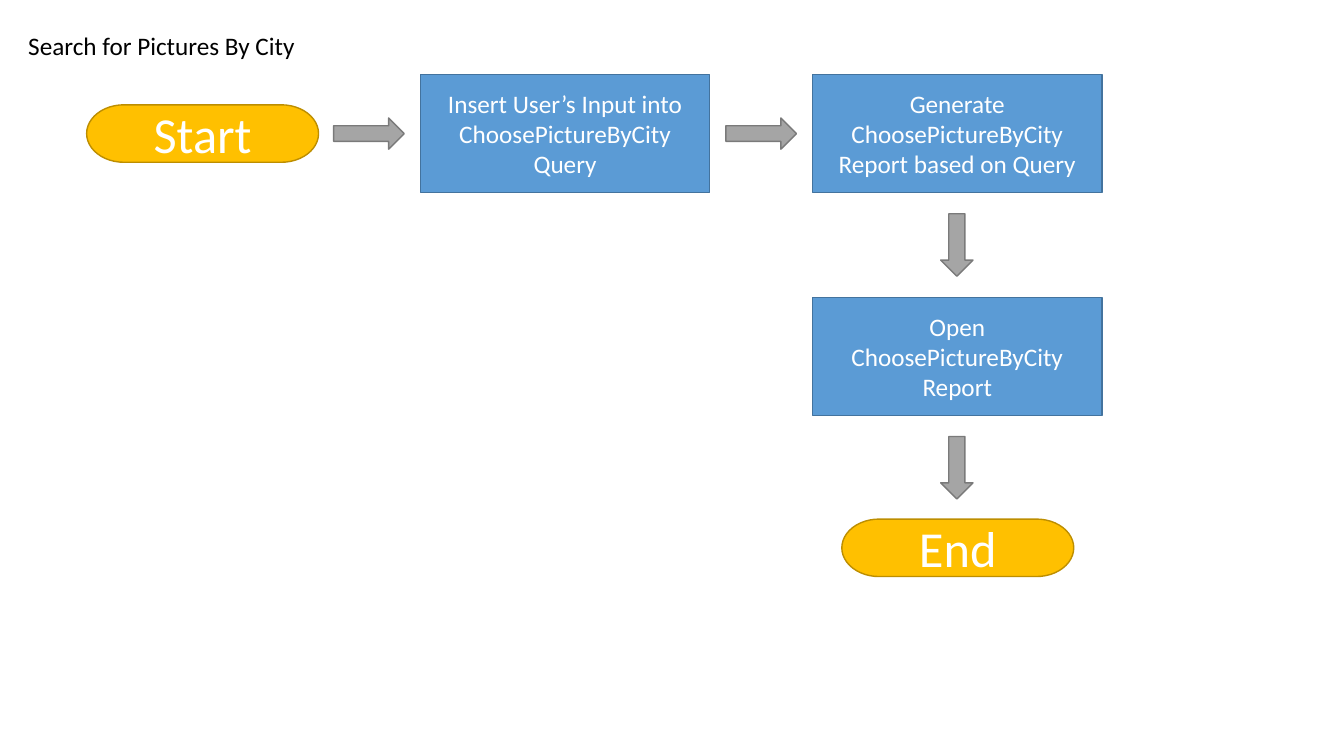
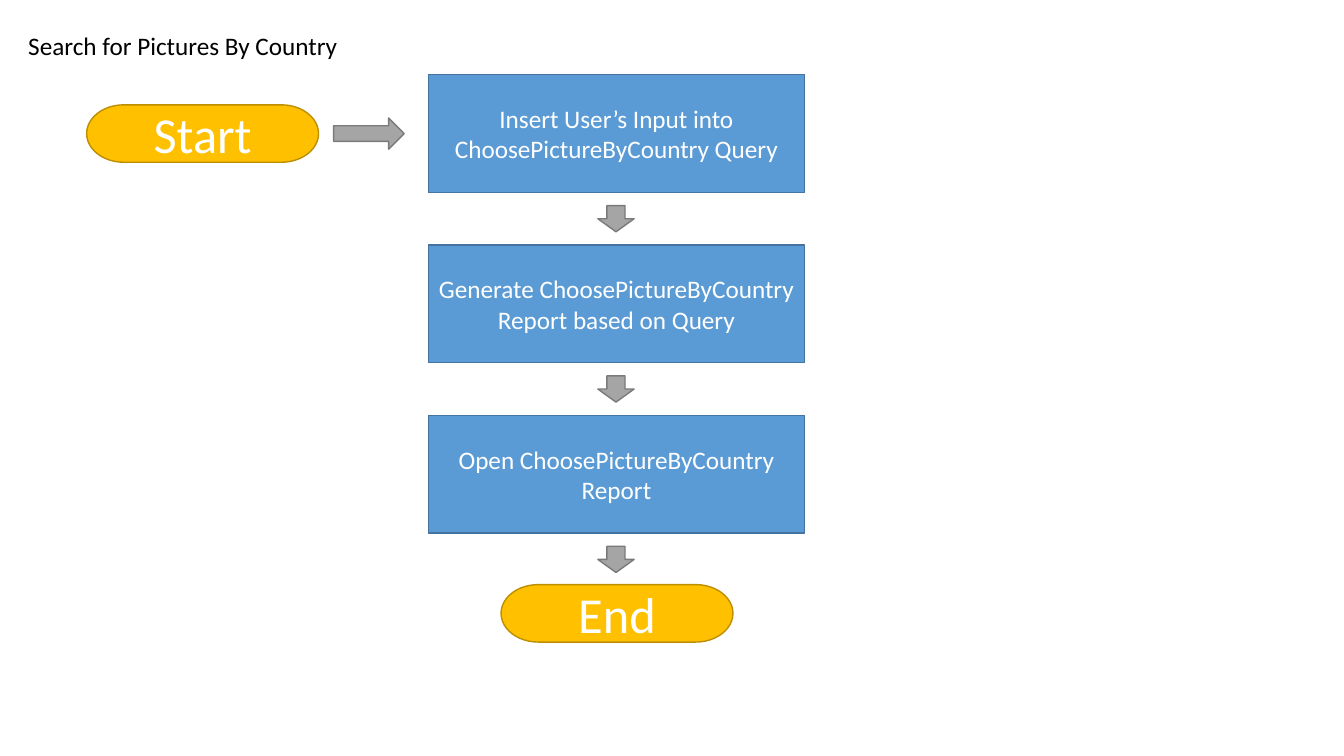
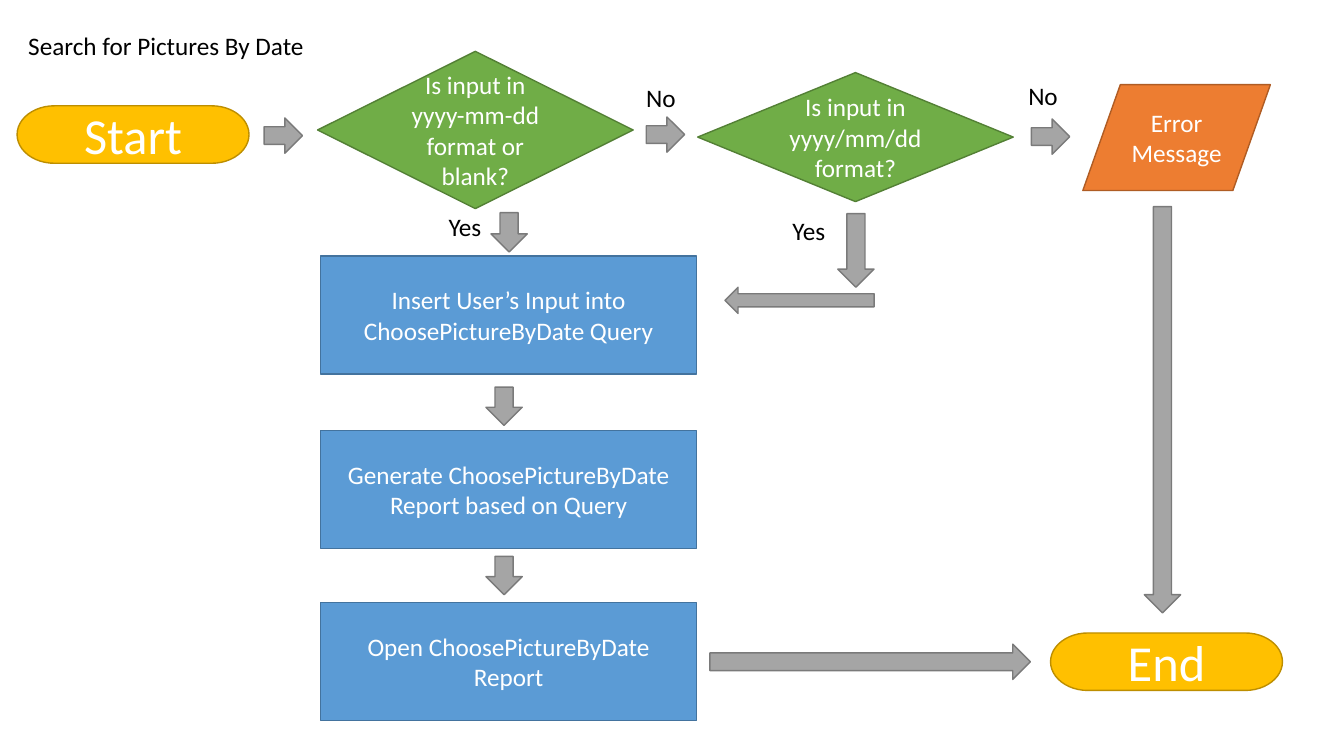
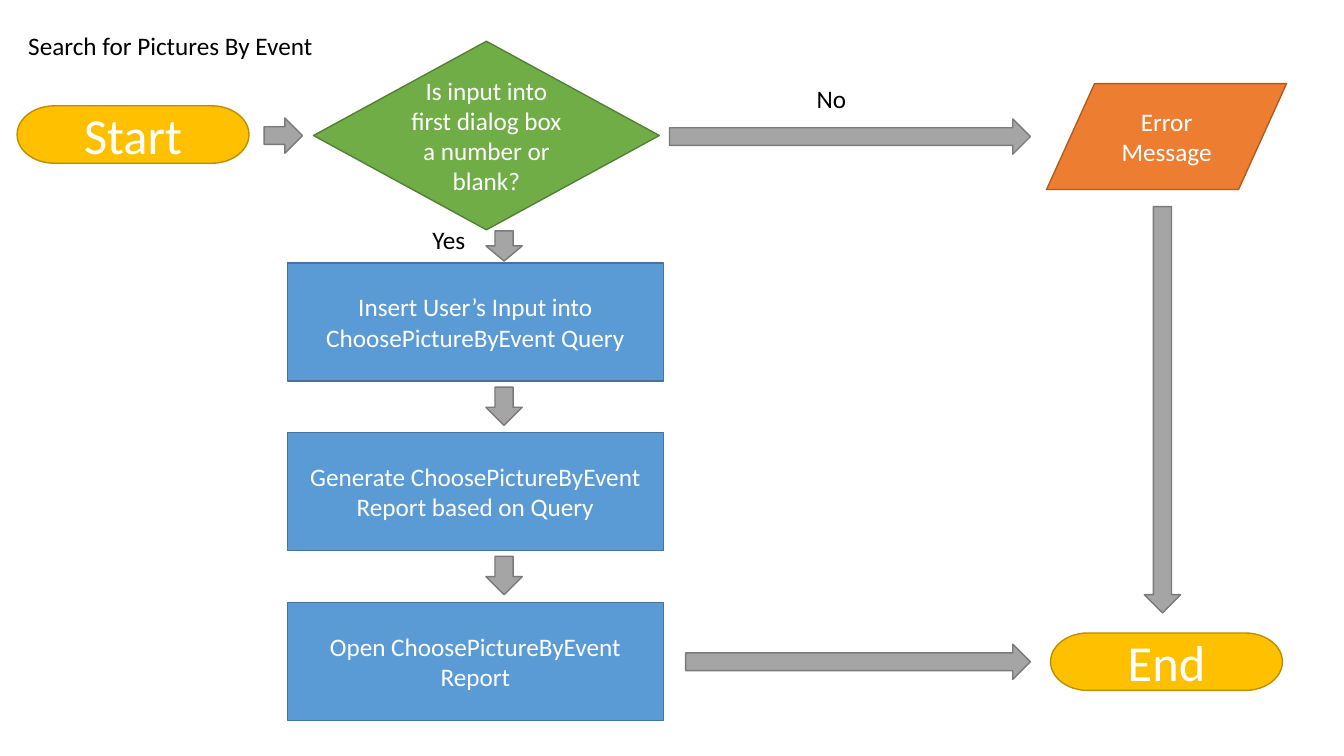
from pptx import Presentation
from pptx.dml.color import RGBColor
from pptx.enum.shapes import MSO_SHAPE
from pptx.enum.text import MSO_ANCHOR, MSO_AUTO_SIZE, PP_ALIGN
from pptx.util import Pt

PX = 9144  # EMU: 100 px to the inch
FONT = "Calibri"
SMALL, LARGE = 18, 36

WHITE = RGBColor(0xFF, 0xFF, 0xFF)
BLACK = RGBColor(0x00, 0x00, 0x00)
GOLD, GOLD_EDGE = RGBColor(0xFF, 0xC0, 0x00), RGBColor(0xBD, 0x8E, 0x00)
BLUE, BLUE_EDGE = RGBColor(0x5B, 0x9B, 0xD5), RGBColor(0x43, 0x73, 0x9E)
GREEN, GREEN_EDGE = RGBColor(0x70, 0xAD, 0x47), RGBColor(0x53, 0x80, 0x35)
RUST, RUST_EDGE = RGBColor(0xED, 0x7D, 0x31), RGBColor(0xAF, 0x5C, 0x24)
GREY, GREY_EDGE = RGBColor(0xA5, 0xA5, 0xA5), RGBColor(0x7A, 0x7A, 0x7A)

# kind: preset, fill, line
LOOKS = {
    "cap": (MSO_SHAPE.FLOWCHART_TERMINATOR, GOLD, GOLD_EDGE),
    "step": (MSO_SHAPE.RECTANGLE, BLUE, BLUE_EDGE),
    "test": (MSO_SHAPE.FLOWCHART_DECISION, GREEN, GREEN_EDGE),
    "error": (MSO_SHAPE.FLOWCHART_DATA, RUST, RUST_EDGE),
    "right": (MSO_SHAPE.RIGHT_ARROW, GREY, GREY_EDGE),
    "left": (MSO_SHAPE.LEFT_ARROW, GREY, GREY_EDGE),
    "down": (MSO_SHAPE.DOWN_ARROW, GREY, GREY_EDGE),
}
LEFT, CENTER = PP_ALIGN.LEFT, PP_ALIGN.CENTER
TOP, MIDDLE = MSO_ANCHOR.TOP, MSO_ANCHOR.MIDDLE
NO_FIT = MSO_AUTO_SIZE.NONE

CAP_W, CAP_H = 230, 57
STEP_H = 117
WIDE = 373
STEPS = (
    "Insert User’s Input into ChoosePictureBy{} Query",
    "Generate ChoosePictureBy{} Report based on Query",
    "Open ChoosePictureBy{} Report",
)


def scale(*sizes):
    return [size * PX for size in sizes]


def write(shape, text, size=SMALL, color=WHITE, align=CENTER, anchor=MIDDLE):
    frame = shape.text_frame
    frame.text = text
    frame.word_wrap = True
    frame.auto_size = NO_FIT
    frame.vertical_anchor = anchor
    para = frame.paragraphs[0]
    para.alignment = align
    font = para.runs[0].font
    font.name, font.size = FONT, Pt(size)
    font.color.rgb = color


def draw(slide, kind, x, y, w, h, text="", size=SMALL):
    """Add one flowchart part in the look of its kind."""
    preset, fill, edge = LOOKS[kind]
    shape = slide.shapes.add_shape(preset, *scale(x, y, w, h))
    shape.shadow.inherit = False
    shape.fill.solid()
    shape.fill.fore_color.rgb = fill
    shape.line.color.rgb = edge
    shape.line.width = Pt(1)
    if text:
        write(shape, text, size)


def label(slide, text, x, y):
    box = slide.shapes.add_textbox(*scale(x, y, 65, 40))
    write(box, text, color=BLACK, align=LEFT, anchor=TOP)


def cap(slide, text, x, y):
    draw(slide, "cap", x, y, CAP_W, CAP_H, text, LARGE)


def steps(slide, topic, width, spots):
    for text, (x, y) in zip(STEPS, spots):
        draw(slide, "step", x, y, width, STEP_H, text.format(topic))


def begin(deck, topic):
    """Add a slide with its title."""
    slide = deck.slides.add_slide(deck.slide_layouts[5])
    title = slide.shapes.title
    title.left, title.top, title.width, title.height = scale(18, 25, 686, 40)
    write(title, f"Search for Pictures By {topic}", color=BLACK,
          align=LEFT, anchor=TOP)
    return slide


def city(deck):
    slide = begin(deck, "City")
    cap(slide, "Start", 86, 104)
    steps(slide, "City", 287, [(417, 74), (806, 74), (806, 295)])
    for x in (331, 720):
        draw(slide, "right", x, 117, 70, 31)
    for y in (212, 433):
        draw(slide, "down", 933, y, 32, 62)
    cap(slide, "End", 835, 515)


def country(deck):
    slide = begin(deck, "Country")
    cap(slide, "Start", 86, 104)
    draw(slide, "right", 331, 117, 70, 31)
    tops = [74 + 169 * row for row in range(3)]
    steps(slide, "Country", WIDE, [(425, y) for y in tops])
    for y in tops:
        draw(slide, "down", 593, y + STEP_H + 13, 36, 26)
    cap(slide, "End", 497, 580)


def checked(deck, topic, x, tops, gap):
    """Start a slide whose input is tested before the steps in column x."""
    slide = begin(deck, topic)
    cap(slide, "Start", 17, 105)
    draw(slide, "right", 262, 117, 38, 35)
    steps(slide, topic, WIDE, [(x, y) for y in tops])
    for y in (384, 552):
        draw(slide, "down", 482, y, 36, 38)
    tail = x + WIDE + gap
    draw(slide, "right", tail, 639, 1022 - tail, 35)
    draw(slide, "down", 1135, 205, 36, 403)
    cap(slide, "End", 1042, 628)
    return slide


def date(deck):
    slide = checked(deck, "Date", 318, (254, 427, 598), 13)
    draw(slide, "test", 315, 51, 313, 156,
         "Is input in yyyy-mm-dd format or blank?")
    draw(slide, "test", 692, 72, 313, 128, "Is input in yyyy/mm/dd format?")
    draw(slide, "error", 1074, 84, 186, 105, "Error Message")
    label(slide, "No", 631, 77)
    draw(slide, "right", 641, 116, 38, 35)
    label(slide, "No", 1010, 75)
    draw(slide, "right", 1023, 118, 38, 35)
    label(slide, "Yes", 435, 205)
    draw(slide, "down", 487, 211, 36, 39)
    label(slide, "Yes", 776, 209)
    draw(slide, "down", 831, 212, 36, 73)
    draw(slide, "left", 719, 285, 148, 26)


def event(deck):
    slide = checked(deck, "Event", 285, (261, 429, 598), 22)
    draw(slide, "test", 311, 41, 343, 187,
         "Is input into first dialog box a number or blank?")
    draw(slide, "error", 1038, 83, 238, 105, "Error Message")
    label(slide, "No", 800, 78)
    draw(slide, "right", 664, 118, 358, 35)
    label(slide, "Yes", 419, 218)
    draw(slide, "down", 482, 229, 36, 30)


def main():
    deck = Presentation()
    deck.slide_width, deck.slide_height = scale(1333, 750)
    for build in (city, country, date, event):
        build(deck)
    deck.save("out.pptx")


if __name__ == "__main__":
    main()
